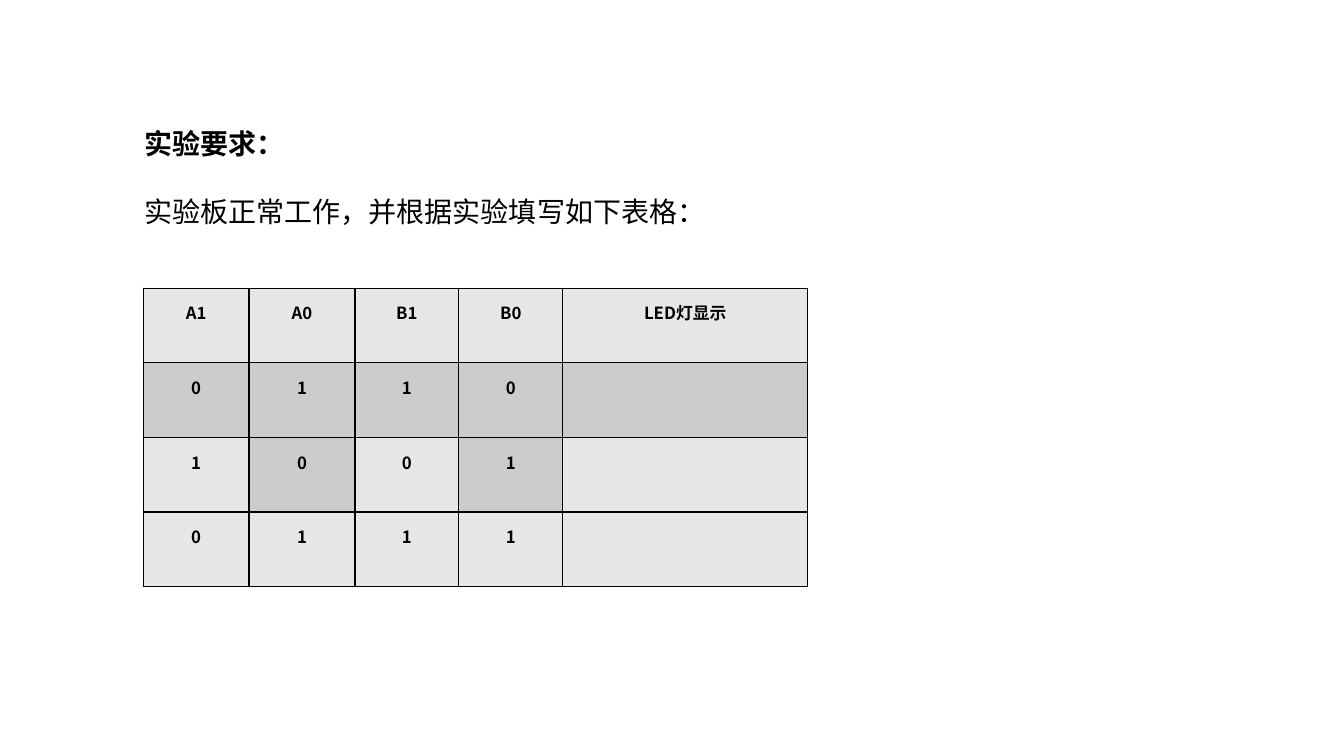
from lxml import etree
from pptx import Presentation
from pptx.dml.color import RGBColor
from pptx.enum.text import MSO_ANCHOR, MSO_AUTO_SIZE, PP_ALIGN
from pptx.oxml.ns import qn
from pptx.util import Inches, Pt

LEFT, CENTER = PP_ALIGN.LEFT, PP_ALIGN.CENTER
TOP = MSO_ANCHOR.TOP
GROW = MSO_AUTO_SIZE.SHAPE_TO_FIT_TEXT
TITLE_ONLY = 5

INK, LIGHT, DARK = "000000", "E7E7E7", "CCCCCC"
HEADERS = ["A1", "A0", "B1", "B0", "LED灯显示"]
STATES = ["0110", "1001", "0111"]
ROWS = [HEADERS] + [[*state, ""] for state in STATES]
FILLS = [
    [LIGHT] * 5,
    [DARK] * 5,
    [LIGHT, DARK, LIGHT, DARK, LIGHT],
    [LIGHT] * 5,
]
COLUMN_SHARES = [7.88, 7.88, 7.73, 7.73, 18.23]
ROW_SHARE = 9.87


def color(value):
    return RGBColor.from_string(value)


class Deck:
    font = "Noto Sans CJK SC"

    def __init__(self, width, height):
        self.prs = Presentation()
        self.prs.slide_width = Inches(width)
        self.prs.slide_height = Inches(height)
        self.slide = self.prs.slides.add_slide(self.prs.slide_layouts[TITLE_ONLY])

    def x(self, percent):
        return int(self.prs.slide_width * percent / 100)

    def y(self, percent):
        return int(self.prs.slide_height * percent / 100)

    def box(self, left, top, width, height):
        return self.x(left), self.y(top), self.x(width), self.y(height)

    def set_text(self, tf, text, size, bold=False, align=LEFT, spacing=1.0):
        p = tf.paragraphs[0]
        p.text = text
        p.alignment = align
        p.line_spacing = spacing
        p.font.size = Pt(size)
        p.font.bold = bold
        p.font.color.rgb = color(INK)
        p.font.name = self.font
        ea = etree.SubElement(p.font._element, qn("a:ea"))
        ea.set("typeface", self.font)

    def title(self, text, *box):
        sp = self.slide.shapes.title
        sp.left, sp.top, sp.width, sp.height = self.box(*box)
        tf = sp.text_frame
        tf.word_wrap = True
        tf.auto_size = GROW
        tf.vertical_anchor = TOP
        self.set_text(tf, text, 20, bold=True, spacing=1.5)

    def text(self, text, *box):
        tf = self.slide.shapes.add_textbox(*self.box(*box)).text_frame
        tf.word_wrap = False
        tf.auto_size = GROW
        self.set_text(tf, text, 20)

    def border(self, cell, side, width):
        ln = etree.SubElement(cell._tc.get_or_add_tcPr(), qn(f"a:ln{side}"))
        ln.set("w", str(Pt(width)))
        fill = etree.SubElement(ln, qn("a:solidFill"))
        etree.SubElement(fill, qn("a:srgbClr")).set("val", INK)

    def cell(self, cell, text, fill, top_line):
        for side, width in zip("LRTB", (1, 1, top_line, 1)):
            self.border(cell, side, width)
        cell.fill.solid()
        cell.fill.fore_color.rgb = color(fill)
        cell.margin_left = cell.margin_right = Inches(0.07)
        cell.margin_top = cell.margin_bottom = 0
        self.set_text(cell.text_frame, text, 12, True, CENTER, 1.5)

    def table(self, left, top, rows, fills, widths, height):
        box = self.box(left, top, sum(widths), height * len(rows))
        table = self.slide.shapes.add_table(len(rows), len(widths), *box).table
        for column, width in zip(table.columns, widths):
            column.width = self.x(width)
        for r, (texts, shades) in enumerate(zip(rows, fills)):
            table.rows[r].height = self.y(height)
            top_line = 2 if r == len(rows) - 1 else 1
            for c, (text, shade) in enumerate(zip(texts, shades)):
                self.cell(table.cell(r, c), text, shade, top_line)


def main():
    deck = Deck(13.33, 7.5)
    deck.title("实验要求：", 10, 13.87, 29.1, 8)
    deck.table(10.65, 38.13, ROWS, FILLS, COLUMN_SHARES, ROW_SHARE)
    deck.text("实验板正常工作，并根据实验填写如下表格：", 10, 25.07, 43.2, 5.87)
    deck.prs.save("out.pptx")


if __name__ == "__main__":
    main()
